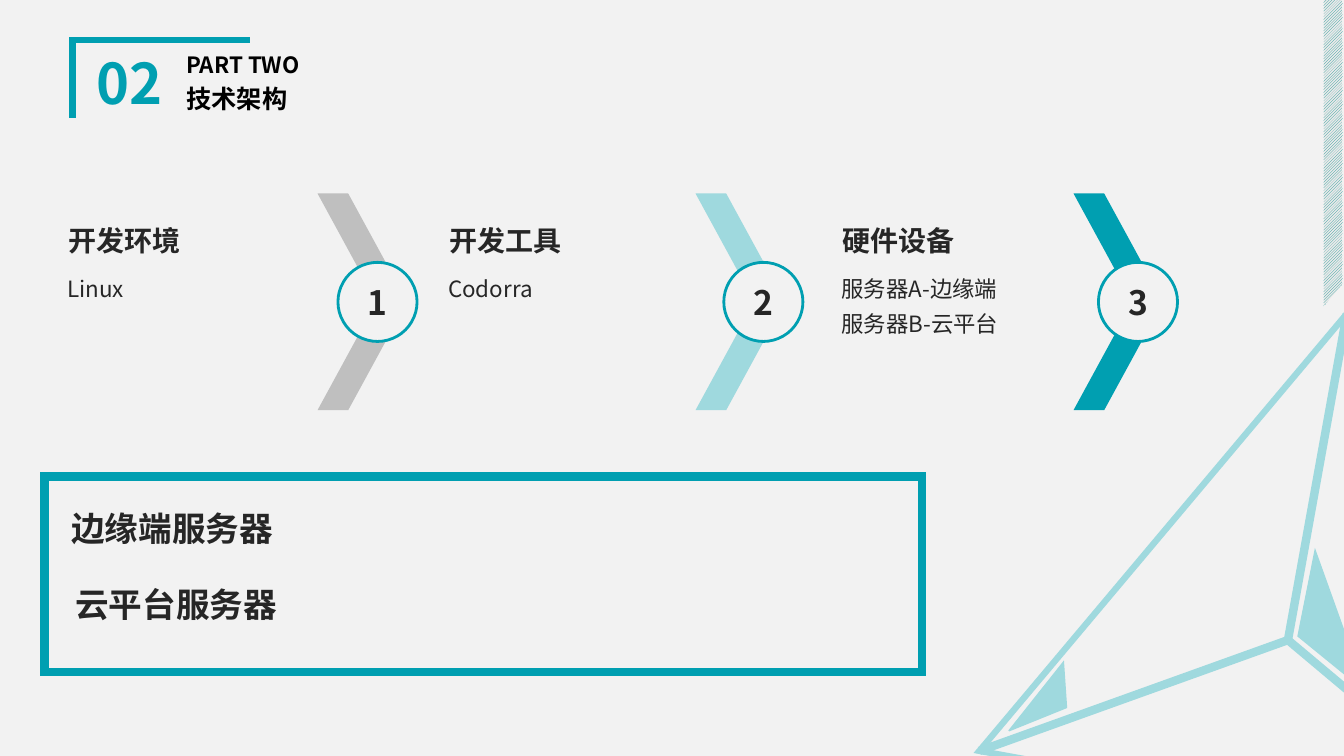
from lxml import etree
from pptx import Presentation
from pptx.dml.color import RGBColor
from pptx.enum.dml import MSO_PATTERN
from pptx.enum.shapes import MSO_CONNECTOR, MSO_SHAPE
from pptx.enum.text import MSO_ANCHOR, MSO_AUTO_SIZE, PP_ALIGN
from pptx.oxml.ns import qn
from pptx.util import Pt

STRIPES = MSO_PATTERN.LIGHT_UPWARD_DIAGONAL
STRAIGHT = MSO_CONNECTOR.STRAIGHT
CHEVRON, OVAL, RECTANGLE = MSO_SHAPE.CHEVRON, MSO_SHAPE.OVAL, MSO_SHAPE.RECTANGLE
TOP, MIDDLE = MSO_ANCHOR.TOP, MSO_ANCHOR.MIDDLE
LEFT, CENTER = PP_ALIGN.LEFT, PP_ALIGN.CENTER
NO_AUTOFIT = MSO_AUTO_SIZE.NONE

FONT = "Noto Sans CJK SC"
COLORS = {
    "paper": "F2F2F2", "teal": "009FB1", "aqua": "9FD9DE", "gray": "BFBFBF",
    "ink": "262626", "black": "000000", "stripe": "1A9895", "stripe_back": "E9E9E9",
}
STAGES = [
    ("开发环境", ["Linux"], "gray", 41.8, 241.4),
    ("开发工具", ["Codorra"], "aqua", 313.9, 517),
    ("硬件设备", ["服务器A-边缘端", "服务器B-云平台"], "teal", 594.9, 784.6),
]


def color(name):
    """Return the named colour."""
    return RGBColor.from_string(COLORS[name])


def paint(shape, fill=None, line=None, width=1):
    """Set fill and sharp-cornered outline of a shape, without shadow."""
    shape.shadow.inherit = False
    if fill:
        shape.fill.solid()
        shape.fill.fore_color.rgb = color(fill)
    else:
        shape.fill.background()
    if line:
        shape.line.color.rgb = color(line)
        shape.line.width = Pt(width)
        miter = etree.SubElement(shape._element.spPr.find(qn("a:ln")), qn("a:miter"))
        miter.set("lim", "800000")
    else:
        shape.line.fill.background()


def write(shape, lines, size, ink="ink", bold=True, align=LEFT, anchor=TOP, spacing=1.0):
    """Fill a shape with formatted lines of text."""
    frame = shape.text_frame
    frame.text = "\n".join(lines)
    frame.word_wrap = True
    frame.auto_size = NO_AUTOFIT
    frame.vertical_anchor = anchor
    for para in frame.paragraphs:
        para.alignment = align
        para.line_spacing = spacing
        for span in para.runs:
            span.font.size = Pt(size)
            span.font.bold = bold
            span.font.color.rgb = color(ink)
            span.font.name = FONT
            east_asian = etree.SubElement(span.font._element, qn("a:ea"))
            east_asian.set("typeface", FONT)


def add_text(page, place, lines, size, **style):
    """Add a text box at (left, top, width, height)."""
    box = page.shapes.add_textbox(*map(Pt, place))
    write(box, lines, size, **style)


def add_shape(page, kind, place, **look):
    """Add a painted preset shape at (left, top, width, height)."""
    shape = page.shapes.add_shape(kind, *map(Pt, place))
    paint(shape, **look)
    return shape


def add_outline(page, points, close=True, **look):
    """Add a painted polygon or open line through the points."""
    corners = [(Pt(x), Pt(y)) for x, y in points]
    builder = page.shapes.build_freeform(*corners[0], scale=1.0)
    builder.add_line_segments(corners[1:], close=close)
    shape = builder.convert_to_shape()
    paint(shape, **look)
    return shape


def add_line(page, start, end, line, width):
    """Add a straight line between two points."""
    connector = page.shapes.add_connector(STRAIGHT, *map(Pt, start + end))
    connector.line.color.rgb = color(line)
    connector.line.width = Pt(width)
    etree.SubElement(connector._element.spPr, qn("a:effectLst"))


def add_decoration(page):
    """Draw the striped edge and the pyramid on the right."""
    stripe = add_outline(page, [(945.4, 0), (959, 0), (959, 202.8), (945.4, 218.9)])
    stripe.fill.patterned()
    stripe.fill.pattern = STRIPES
    stripe.fill.fore_color.rgb = color("stripe")
    stripe.fill.back_color.rgb = color("stripe_back")

    corners = [(699.6, 536.4), (962, 224.2), (1100.9, 609.1)]
    hub = (920, 457.2)
    add_outline(page, corners, fill="paper", line="aqua", width=4.5)
    for corner in corners:
        add_line(page, corner, hub, "aqua", 6)
    for facet in (
        [(927.2, 454.4), (939.4, 393.2), (975.4, 493.6)],
        [(761.8, 505.4), (759.6, 473), (720.7, 522)],
    ):
        add_outline(page, facet, fill="aqua", line="aqua")


def add_heading(page):
    """Draw the bracket, section number and title."""
    add_outline(page, [(51.8, 84.2), (51.8, 28.8), (178.6, 28.8)], close=False,
                line="teal", width=4.5)
    add_text(page, (59, 35.3, 67, 52.6), ["02"], 40, ink="teal", align=CENTER,
             anchor=MIDDLE, spacing=0.9)
    add_text(page, (126, 35.3, 192.2, 24.5), ["PART TWO"], 16, ink="black",
             anchor=MIDDLE, spacing=0.9)
    title = page.shapes.title
    title.left, title.top, title.width, title.height = map(Pt, (126, 55.7, 192.2, 31.7))
    write(title, ["技术架构"], 18, ink="black", anchor=MIDDLE, spacing=0.9)


def add_stage(page, index, name, details, tint, text_left, badge_left):
    """Draw one stage: chevron, numbered badge, name and details."""
    chevron = add_shape(page, CHEVRON, (226.8 + 270 * index, 138.2, 64.1, 154.8), fill=tint)
    chevron.adjustments[0] = 0.658
    badge = add_shape(page, OVAL, (badge_left, 187.4, 56.5, 56.5),
                      fill="paper", line="teal", width=2)
    write(badge, [str(index + 1)], 24, align=CENTER, anchor=MIDDLE)
    add_text(page, (text_left, 156.2, 110, 31.7), [name], 20)
    add_text(page, (text_left - 0.8, 187.2, 169.2, 32.4 + 25.2 * (len(details) - 1)),
             details, 16, bold=False, spacing=1.3)


def main():
    """Build the slide and save it."""
    deck = Presentation()
    deck.slide_width, deck.slide_height = Pt(960), Pt(540)
    page = deck.slides.add_slide(deck.slide_layouts[5])
    page.background.fill.solid()
    page.background.fill.fore_color.rgb = color("paper")
    add_decoration(page)
    add_heading(page)
    for index, stage in enumerate(STAGES):
        add_stage(page, index, *stage)
    add_shape(page, RECTANGLE, (31.7, 340.3, 627.1, 139.7), line="teal", width=6)
    add_text(page, (43.9, 359.3, 170, 36), ["边缘端服务器"], 24)
    add_text(page, (46.8, 413.3, 374.4, 36), ["云平台服务器"], 24)
    deck.save("out.pptx")


if __name__ == "__main__":
    main()
